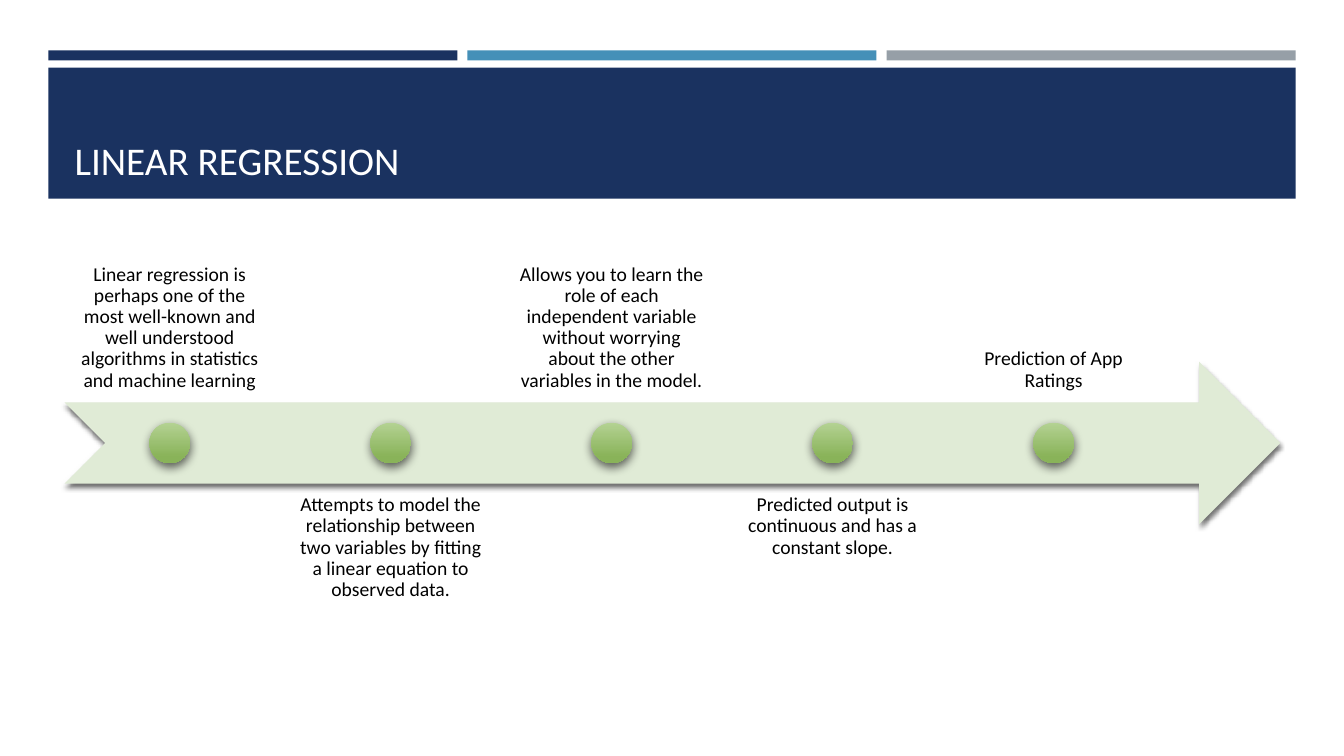
from dataclasses import dataclass

from lxml import etree
from pptx import Presentation
from pptx import util as u
from pptx.dml.color import RGBColor
from pptx.enum import shapes, text
from pptx.oxml.ns import qn


@dataclass(frozen=True)
class Theme:
    """Colours, font and type sizes of the slide."""
    navy: str = "1A3260"
    blue: str = "4590B8"
    grey: str = "969FA7"
    pale: str = "E0EBD6"
    dot_top: str = "B4D293"
    dot_bottom: str = "89B359"
    white: str = "FFFFFF"
    black: str = "000000"
    font: str = "Calibri"
    title_size: int = 28
    body_size: int = 14


THEME = Theme()
SHAPE = shapes.MSO_SHAPE
ANCHOR = text.MSO_ANCHOR
STEPS = [
    "Linear regression is perhaps one of the most well-known and well understood "
    "algorithms in statistics and machine learning",
    "Attempts to model the relationship between two variables by fitting a linear "
    "equation to observed data.",
    "Allows you to learn the role of each independent variable without worrying "
    "about the other variables in the model.",
    "Predicted output is continuous and has a constant slope.",
    "Prediction of App Ratings",
]


def inches(*lengths):
    """Convert lengths in inches to slide units."""
    return [u.Inches(length) for length in lengths]


def add_shape(slide, kind, box, color=None):
    """Add a borderless, shadowless preset shape."""
    sp = slide.shapes.add_shape(kind, *inches(*box))
    sp.shadow.inherit = False
    sp.line.fill.background()
    if color:
        sp.fill.solid()
        sp.fill.fore_color.rgb = RGBColor.from_string(color)
    return sp


def add_shadow(sp, alpha, blur, dist, angle):
    """Give a shape a soft black outer shadow."""
    effects = sp._element.spPr.find(qn("a:effectLst"))
    shadow = etree.SubElement(
        effects, qn("a:outerShdw"), blurRad=str(u.Pt(blur)), dist=str(u.Pt(dist)),
        dir=str(angle * 60000), algn="ctr", rotWithShape="0")
    color = etree.SubElement(shadow, qn("a:srgbClr"), val=THEME.black)
    etree.SubElement(color, qn("a:alpha"), val=str(alpha * 1000))


def write(tf, words, size, color, align, anchor):
    """Write one formatted paragraph into a text frame."""
    tf.word_wrap = True
    tf.auto_size = text.MSO_AUTO_SIZE.NONE
    tf.vertical_anchor = anchor
    p = tf.paragraphs[0]
    p.alignment = align
    p.line_spacing = 0.9
    r = p.add_run()
    r.text = words
    r.font.name = THEME.font
    r.font.size = u.Pt(size)
    r.font.color.rgb = RGBColor.from_string(color)


def add_header(slide, box):
    """Draw three colour bars above a title band."""
    left, top, width, height = box
    gap = 0.1
    bar = (width - 2 * gap) / 3
    for i, color in enumerate((THEME.navy, THEME.blue, THEME.grey)):
        add_shape(slide, SHAPE.RECTANGLE, (left + i * (bar + gap), top, bar, 0.1), color)
    band_top, band_height = top + 0.17, height - 0.17
    add_shape(slide, SHAPE.RECTANGLE, (left, band_top, width, band_height), THEME.navy)
    title = slide.shapes.title
    title.left, title.top, title.width, title.height = inches(
        left + 0.16, band_top + 0.1, width - 0.31, band_height - 0.19)
    write(title.text_frame, "LINEAR REGRESSION", THEME.title_size, THEME.white,
          text.PP_ALIGN.LEFT, ANCHOR.BOTTOM)
    slide.shapes._spTree.append(title._element)


def add_dot(slide, box):
    """Draw one green milestone dot."""
    dot = add_shape(slide, SHAPE.OVAL, box)
    dot.fill.gradient()
    dot.fill.gradient_angle = 270
    stops = zip(dot.fill.gradient_stops, (0, 0.84), (THEME.dot_top, THEME.dot_bottom))
    for stop, position, color in stops:
        stop.position = position
        stop.color.rgb = RGBColor.from_string(color)
    add_shadow(dot, 60, 7, 3, 84)


def add_timeline(slide, box):
    """Draw an arrow with dots and captions alternately above and below."""
    left, top, width, height = box
    row = height * 0.4
    arrow_top = top + height * 0.3
    arrow = add_shape(slide, SHAPE.NOTCHED_RIGHT_ARROW,
                      (left, arrow_top, width, row), THEME.pale)
    add_shadow(arrow, 55, 3, 2, 90)
    pitch = width * 0.9 / (len(STEPS) - 0.05 / 1.05 + 0.05 / 1.05 * 0)
    column = pitch / 1.05
    size = row / 4
    for i, words in enumerate(STEPS):
        x = left + i * pitch
        below = i % 2
        caption = slide.shapes.add_textbox(
            *inches(x, top + below * height * 0.6, column, row))
        tf = caption.text_frame
        tf.margin_left = tf.margin_right = tf.margin_top = tf.margin_bottom = u.Inches(0.11)
        write(tf, words, THEME.body_size, THEME.black, text.PP_ALIGN.CENTER,
              ANCHOR.TOP if below else ANCHOR.BOTTOM)
        add_dot(slide, (x + (column - size) / 2, top + (height - size) / 2, size, size))


def main():
    """Build and save the slide."""
    prs = Presentation()
    prs.slide_width, prs.slide_height = inches(13.33, 7.5)
    slide = prs.slides.add_slide(prs.slide_layouts[5])
    add_header(slide, (0.48, 0.5, 12.37, 1.47))
    add_timeline(slide, (0.64, 2.38, 12.06, 4.03))
    prs.save("out.pptx")


if __name__ == "__main__":
    main()
